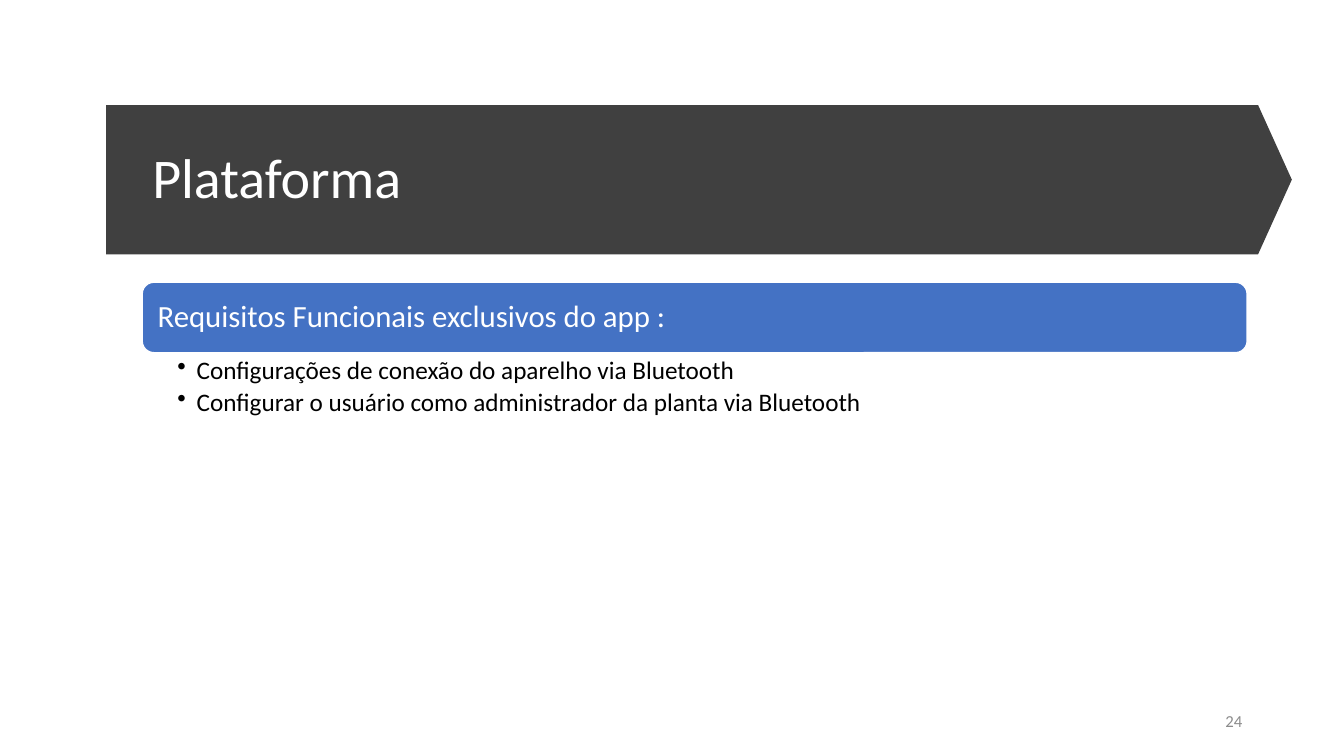
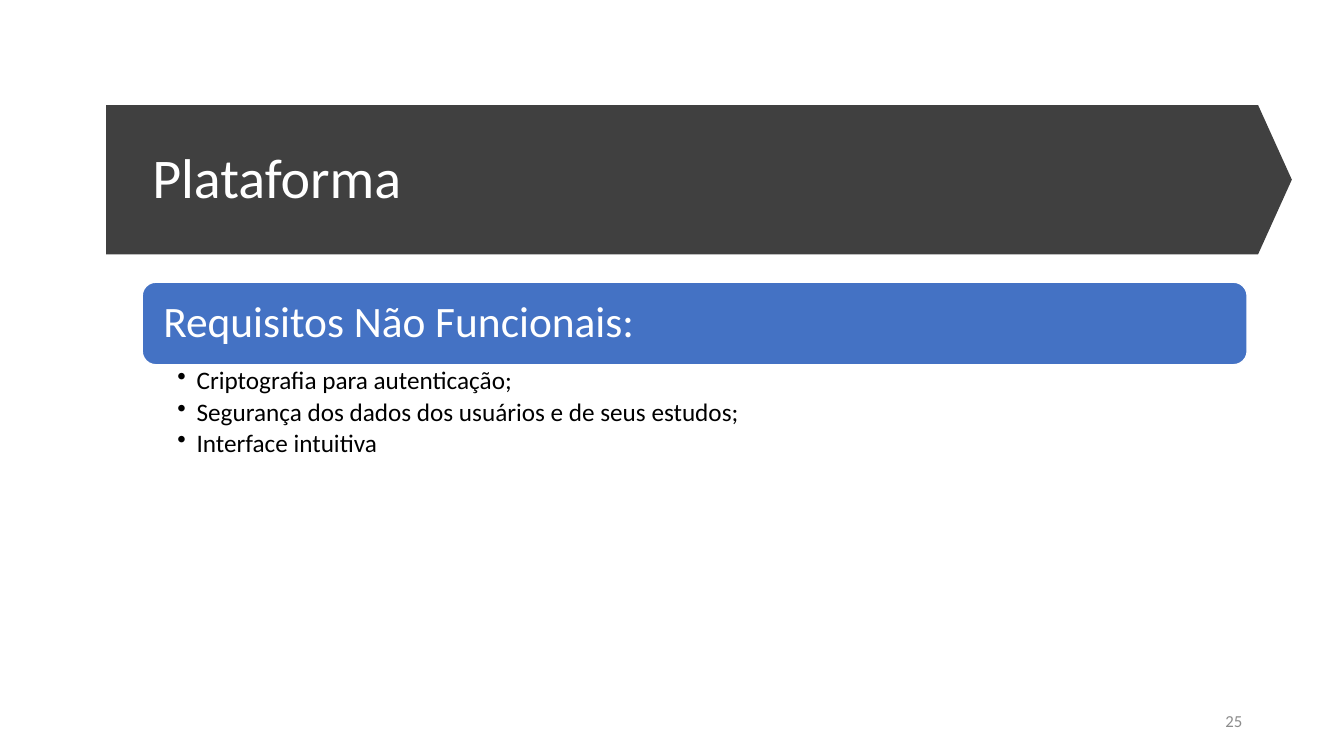
from lxml import etree
from pptx import Presentation
from pptx.dml.color import RGBColor
from pptx.enum.shapes import MSO_SHAPE
from pptx.enum.text import MSO_ANCHOR, PP_ALIGN
from pptx.oxml.ns import qn
from pptx.util import Inches, Pt

PENTAGON, ROUNDED = MSO_SHAPE.PENTAGON, MSO_SHAPE.ROUNDED_RECTANGLE
TOP, MIDDLE = MSO_ANCHOR.TOP, MSO_ANCHOR.MIDDLE
LEFT, RIGHT = PP_ALIGN.LEFT, PP_ALIGN.RIGHT

SLIDE_WIDTH, SLIDE_HEIGHT = Inches(13.33), Inches(7.5)
TITLE_ONLY = 5
FONT = "Calibri"
WHITE, BLACK, BLUE = "FFFFFF", "000000", "4472C4"
DARK, GRAY = "404040", "8C8C8C"

CONTENT_LEFT, CONTENT_WIDTH = 10.58, 82.22
HEADER_TOP, LIST_BOTTOM = 37.33, 84.13
BULLET_INDENT = Inches(0.19)

SECTIONS = [
    {
        "number": 24,
        "header": "Requisitos Funcionais exclusivos do app :",
        "size": 22,
        "inset": 0.12,
        "height": 9.33,
        "list_top": 46.93,
        "items": [
            "Configurações de conexão do aparelho via Bluetooth",
            "Configurar o usuário como administrador da planta via Bluetooth",
        ],
    },
    {
        "number": 25,
        "header": "Requisitos Não Funcionais:",
        "size": 31,
        "inset": 0.17,
        "height": 10.93,
        "list_top": 48.27,
        "items": [
            "Criptografia para autenticação;",
            "Segurança dos dados dos usuários e de seus estudos;",
            "Interface intuitiva",
        ],
    },
]


def color(value):
    return RGBColor.from_string(value)


def area(left, top, width, height):
    return (
        int(SLIDE_WIDTH * left / 100),
        int(SLIDE_HEIGHT * top / 100),
        int(SLIDE_WIDTH * width / 100),
        int(SLIDE_HEIGHT * height / 100),
    )


def add_bullet(para):
    properties = para._p.get_or_add_pPr()
    properties.set("marL", str(BULLET_INDENT))
    properties.set("indent", str(-BULLET_INDENT))
    bullet = etree.SubElement(properties, qn("a:buChar"))
    bullet.set("char", "•")


def write(box, *lines, size, ink, anchor=MIDDLE, align=LEFT, spacing=0.9,
          after=0, bullets=False, insets=(0.1, 0.05, 0.1, 0.05)):
    frame = box.text_frame
    frame.word_wrap = True
    frame.vertical_anchor = anchor
    (frame.margin_left, frame.margin_top,
     frame.margin_right, frame.margin_bottom) = map(Inches, insets)
    for index, line in enumerate(lines):
        para = frame.add_paragraph() if index else frame.paragraphs[0]
        if bullets:
            add_bullet(para)
        para.alignment = align
        para.line_spacing = spacing
        para.space_before = Pt(0)
        para.space_after = Pt(after)
        span = para.add_run()
        span.text = line
        span.font.name = FONT
        span.font.size = Pt(size)
        span.font.color.rgb = color(ink)


def add_panel(page, kind, place, fill, outline=None):
    panel = page.shapes.add_shape(kind, *area(*place))
    panel.shadow.inherit = False
    panel.fill.solid()
    panel.fill.fore_color.rgb = color(fill)
    if outline:
        panel.line.color.rgb = color(outline)
        panel.line.width = Pt(1)
    else:
        panel.line.fill.background()
    return panel


def add_text(page, place, *lines, **style):
    write(page.shapes.add_textbox(*area(*place)), *lines, **style)


def add_title(page, text):
    band = add_panel(page, PENTAGON, (7.9, 13.9, 88.22, 19.73), DARK)
    band.adjustments[0] = 0.226
    title = page.shapes.title
    title.left, title.top, title.width, title.height = area(
        CONTENT_LEFT, 17.6, CONTENT_WIDTH, 12.53)
    write(title, text, size=40, ink=WHITE)
    band._element.addnext(title._element)


def add_section(page, section):
    header = add_panel(
        page, ROUNDED,
        (CONTENT_LEFT, HEADER_TOP, CONTENT_WIDTH, section["height"]),
        BLUE, outline=WHITE)
    write(header, section["header"], size=section["size"], ink=WHITE,
          insets=(section["inset"],) * 4)
    list_top = section["list_top"]
    add_text(page,
             (CONTENT_LEFT, list_top, CONTENT_WIDTH, LIST_BOTTOM - list_top),
             *section["items"], size=18, ink=BLACK, anchor=TOP, after=3,
             bullets=True, insets=(0.35, 0.03, 0.14, 0.03))


def add_page_number(page, number):
    add_text(page, (70.67, 92.67, 22.5, 5.33), str(number), size=12,
             ink=GRAY, align=RIGHT, spacing=1.0)


def main():
    deck = Presentation()
    deck.slide_width, deck.slide_height = SLIDE_WIDTH, SLIDE_HEIGHT
    for section in SECTIONS:
        page = deck.slides.add_slide(deck.slide_layouts[TITLE_ONLY])
        add_title(page, "Plataforma")
        add_section(page, section)
        add_page_number(page, section["number"])
    deck.save("out.pptx")


if __name__ == "__main__":
    main()
